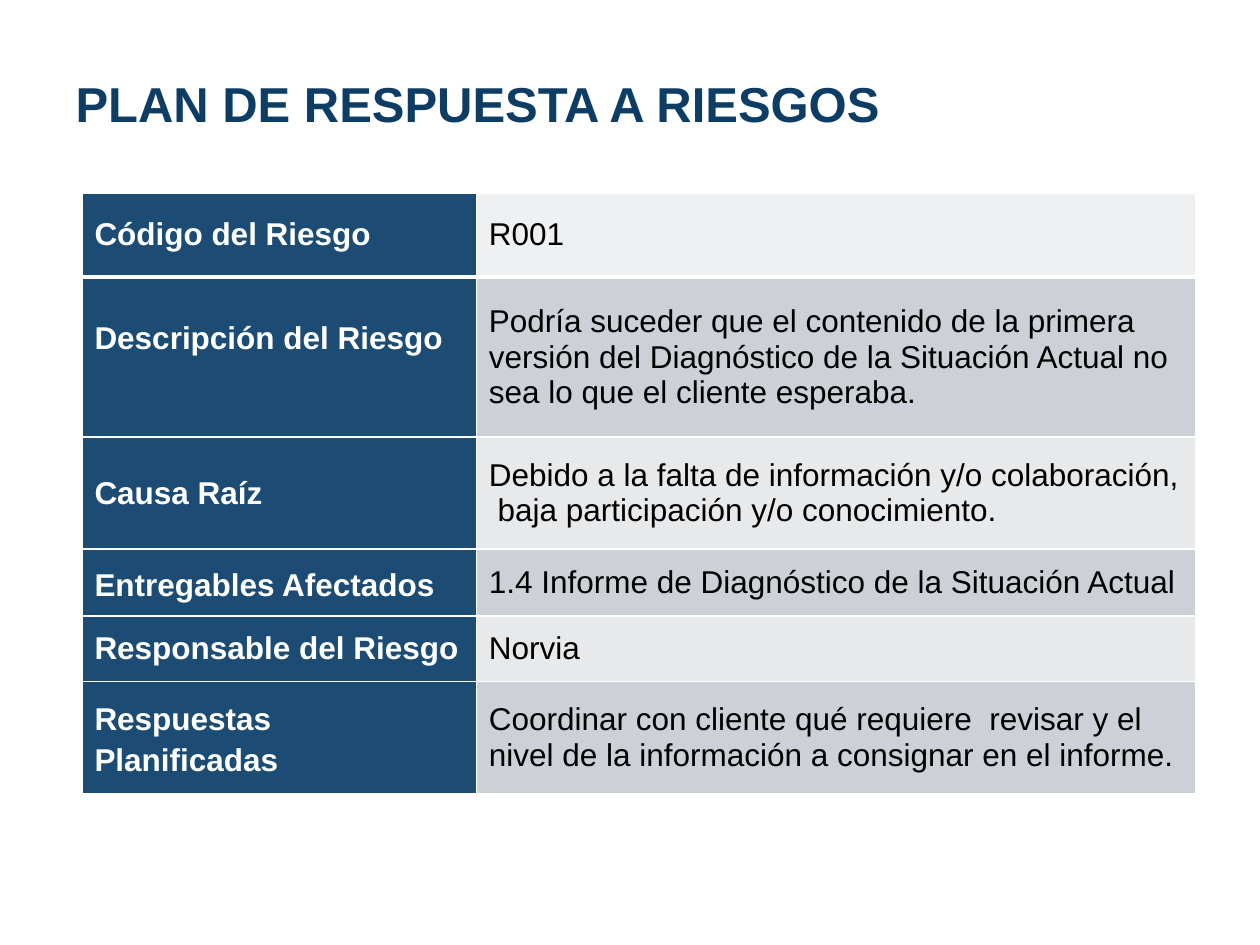
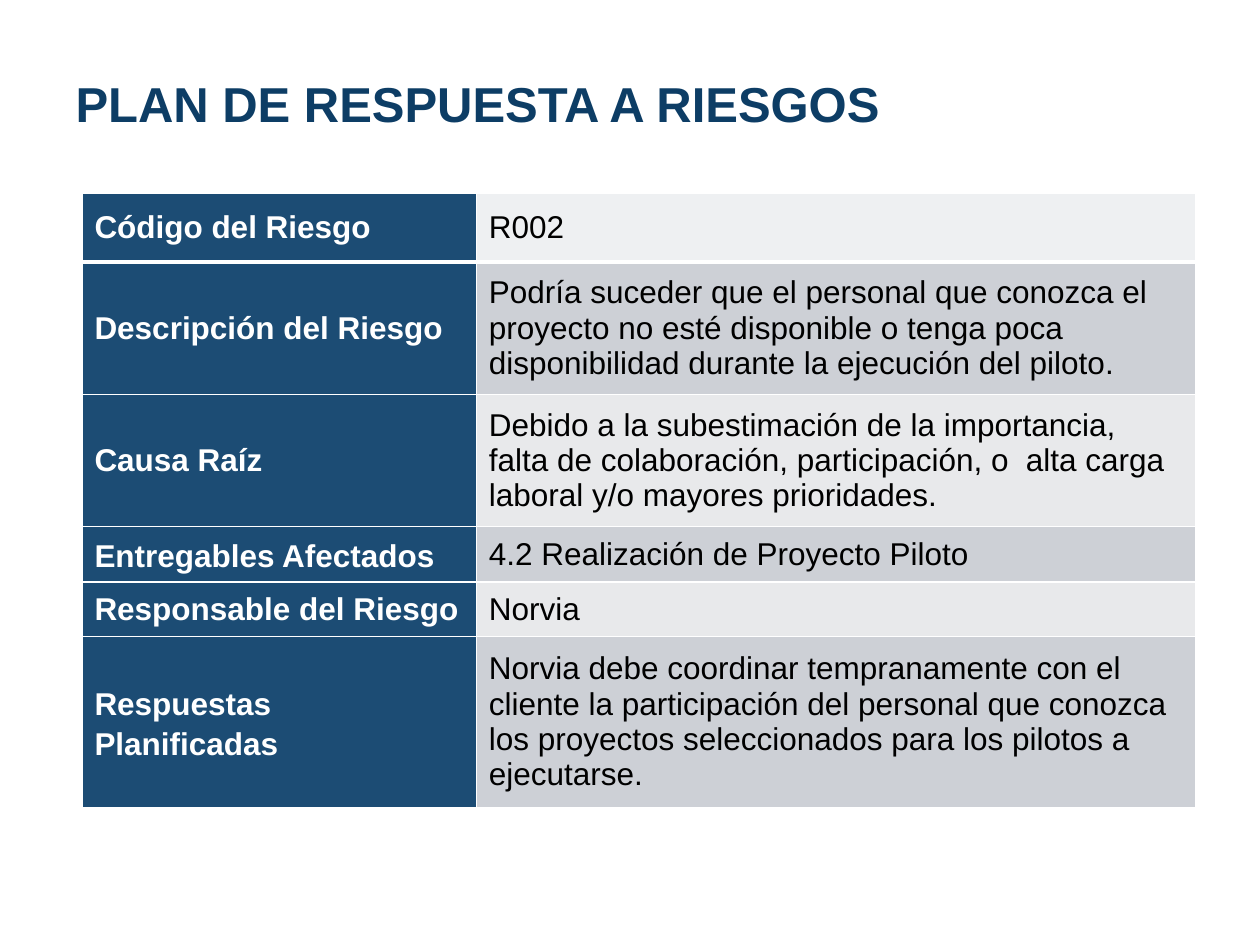
from dataclasses import dataclass

from lxml import etree
from pptx import Presentation
from pptx.dml.color import RGBColor
from pptx.enum.text import MSO_ANCHOR, MSO_AUTO_SIZE, PP_ALIGN
from pptx.oxml.ns import qn
from pptx.util import Inches, Pt

TOP, MIDDLE = MSO_ANCHOR.TOP, MSO_ANCHOR.MIDDLE
LEFT = PP_ALIGN.LEFT
NO_AUTOFIT = MSO_AUTO_SIZE.NONE
TITLE_ONLY = 5
GRID_COLUMNS, GRID_ROWS = 100, 75


@dataclass(frozen=True)
class Theme:
    font: str = "Arial"
    title_size: int = 28
    body_size: int = 18
    title: str = "0D3D65"
    label: str = "1C4C74"
    light: str = "FFFFFF"
    dark: str = "000000"
    code_fill: str = "EEF0F2"
    bands: tuple = ("E8E9EB", "CDD0D6")
    thin: int = 1
    thick: int = 3


def apply_format(target, values):
    for name, value in values.items():
        setattr(target, name, value)


class RiskDeck:
    def __init__(self, theme):
        self.theme = theme
        self.deck = Presentation()
        apply_format(self.deck, {"slide_width": Inches(10), "slide_height": Inches(7.5)})
        self.page = None

    def across(self, columns):
        return round(self.deck.slide_width * columns / GRID_COLUMNS)

    def down(self, rows):
        return round(self.deck.slide_height * rows / GRID_ROWS)

    def set_text(self, frame, text, size, color, bold, spacing=1.0):
        frame.word_wrap = True
        para = frame.paragraphs[0]
        apply_format(para, {"alignment": LEFT, "line_spacing": spacing})
        span = para.add_run()
        span.text = text
        apply_format(span.font, {"name": self.theme.font, "size": Pt(size), "bold": bold})
        span.font.color.rgb = RGBColor.from_string(color)

    def add_page(self, title):
        self.page = self.deck.slides.add_slide(self.deck.slide_layouts[TITLE_ONLY])
        box = self.page.shapes.title
        apply_format(box, {"left": self.across(5), "top": self.down(5.7),
                           "width": self.across(89.9), "height": self.down(5.9)})
        apply_format(box.text_frame, {"vertical_anchor": TOP, "auto_size": NO_AUTOFIT})
        self.set_text(box.text_frame, title, self.theme.title_size, self.theme.title, True, 0.95)

    def add_borders(self, cell, row):
        widths = {"L": self.theme.thin, "R": self.theme.thin,
                  "T": self.theme.thick if row == 1 else self.theme.thin,
                  "B": self.theme.thick if row == 0 else self.theme.thin}
        properties = cell._tc.get_or_add_tcPr()
        for side, width in widths.items():
            line = etree.SubElement(properties, qn(f"a:ln{side}"), w=str(int(Pt(width))))
            fill = etree.SubElement(line, qn("a:solidFill"))
            etree.SubElement(fill, qn("a:srgbClr"), val=self.theme.light)

    def fill_cell(self, cell, row, text, fill, color, bold, spacing=1.0):
        self.add_borders(cell, row)
        cell.fill.solid()
        cell.fill.fore_color.rgb = RGBColor.from_string(fill)
        cell.vertical_anchor = MIDDLE
        self.set_text(cell.text_frame, text, self.theme.body_size, color, bold, spacing)

    def add_risk_table(self, answers, heights):
        theme = self.theme
        widths = (31.3, 57.1)
        table = self.page.shapes.add_table(
            len(LABELS), len(widths), self.across(6.5), self.down(15.3),
            self.across(sum(widths)), self.down(sum(heights))).table
        apply_format(table, {"first_row": False, "horz_banding": False})
        for column, width in zip(table.columns, widths):
            column.width = self.across(width)
        for row, ((label, spacing), answer, height) in enumerate(zip(LABELS, answers, heights)):
            table.rows[row].height = self.down(height)
            band = theme.bands[row % 2] if row else theme.code_fill
            self.fill_cell(table.cell(row, 0), row, label, theme.label, theme.light, True, spacing)
            self.fill_cell(table.cell(row, 1), row, answer, band, theme.dark, False)
        return table


TITLE = "PLAN DE RESPUESTA A RIESGOS"
DESCRIPTION_ROW = 1
LABELS = (
    ("Código del Riesgo", 1.0),
    ("Descripción del Riesgo", 1.0),
    ("Causa Raíz", 1.0),
    ("Entregables Afectados", 1.15),
    ("Responsable del Riesgo", 1.0),
    ("Respuestas Planificadas", 1.15),
)
OWNER = "Norvia"
CONTENT_RISK = (
    "R001",
    "Podría suceder que el contenido de la primera versión del Diagnóstico "
    "de la Situación Actual no sea lo que el cliente esperaba.",
    "Debido a la falta de información y/o colaboración,  baja participación y/o conocimiento.",
    "1.4 Informe de Diagnóstico de la Situación Actual",
    OWNER,
    "Coordinar con cliente qué requiere  revisar y el nivel de la información "
    "a consignar en el informe.",
)
STAFF_RISK = (
    "R002",
    "Podría suceder que el personal que conozca el proyecto no esté disponible "
    "o tenga poca disponibilidad durante la ejecución del piloto.",
    "Debido a la subestimación de la importancia, falta de colaboración, "
    "participación, o  alta carga laboral y/o mayores prioridades.",
    "4.2 Realización de Proyecto Piloto",
    OWNER,
    f"{OWNER} debe coordinar tempranamente con el cliente la participación del personal "
    "que conozca  los proyectos seleccionados para los pilotos a ejecutarse.",
)


def main():
    risks = RiskDeck(Theme())
    risks.add_page(TITLE)
    content_table = risks.add_risk_table(CONTENT_RISK, (6.7, 12.7, 8.9, 5.3, 5.2, 8.9))
    content_table.cell(DESCRIPTION_ROW, 0).margin_bottom = risks.down(3.5)
    risks.add_page(TITLE)
    risks.add_risk_table(STAFF_RISK, (5.5, 10.5, 10.5, 4.4, 4.3, 13.6))
    risks.deck.save("out.pptx")


if __name__ == "__main__":
    main()
